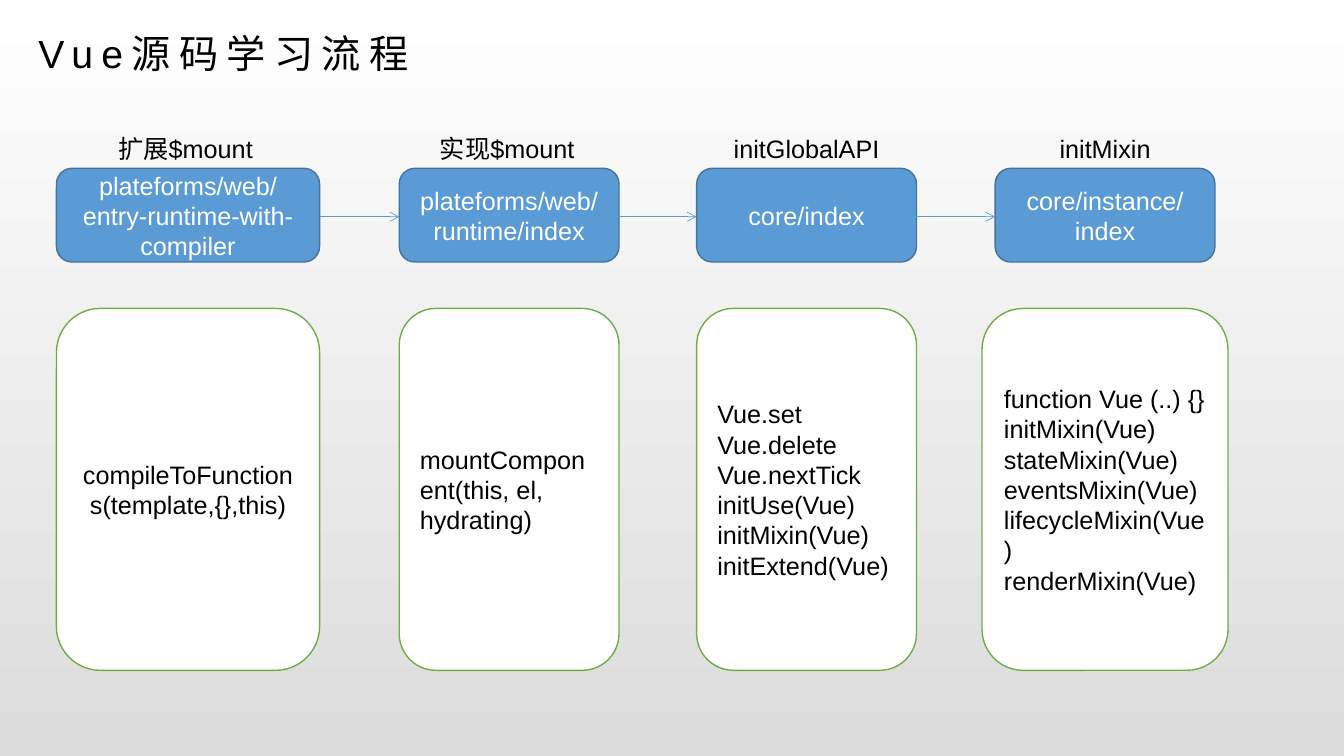
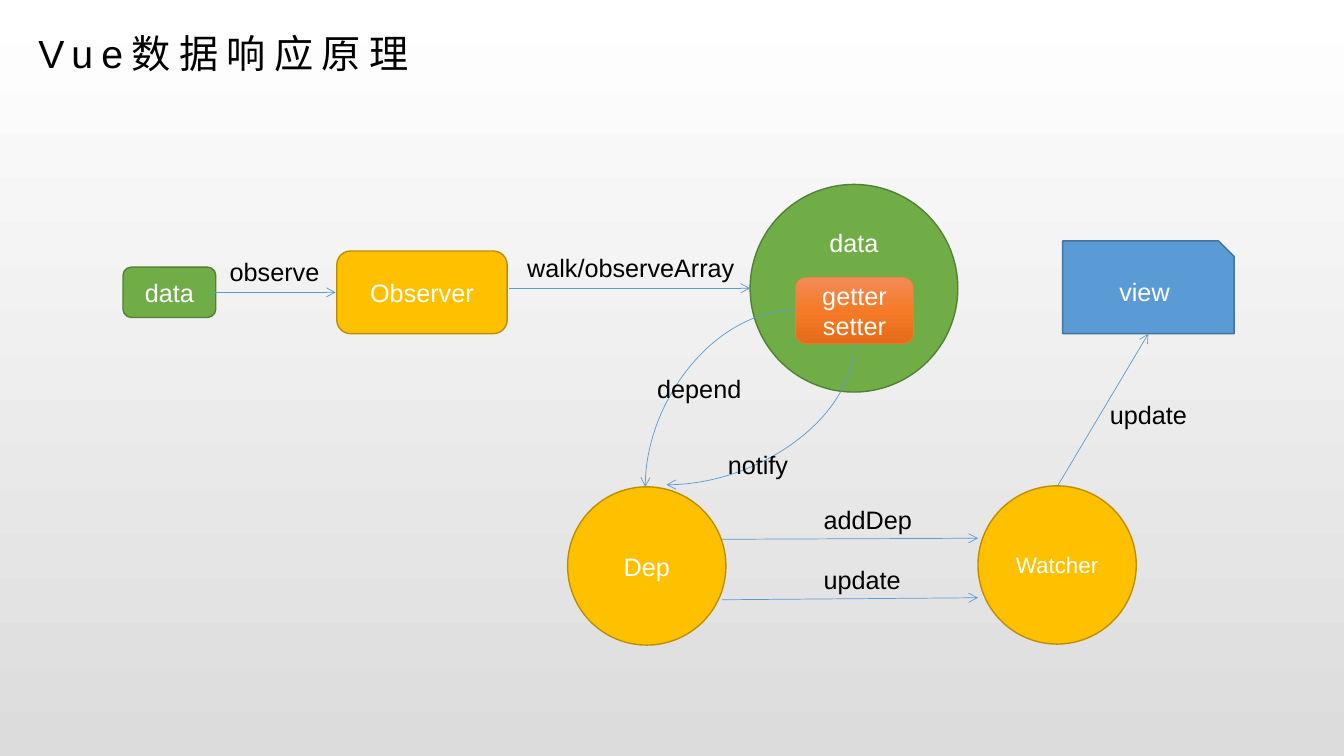
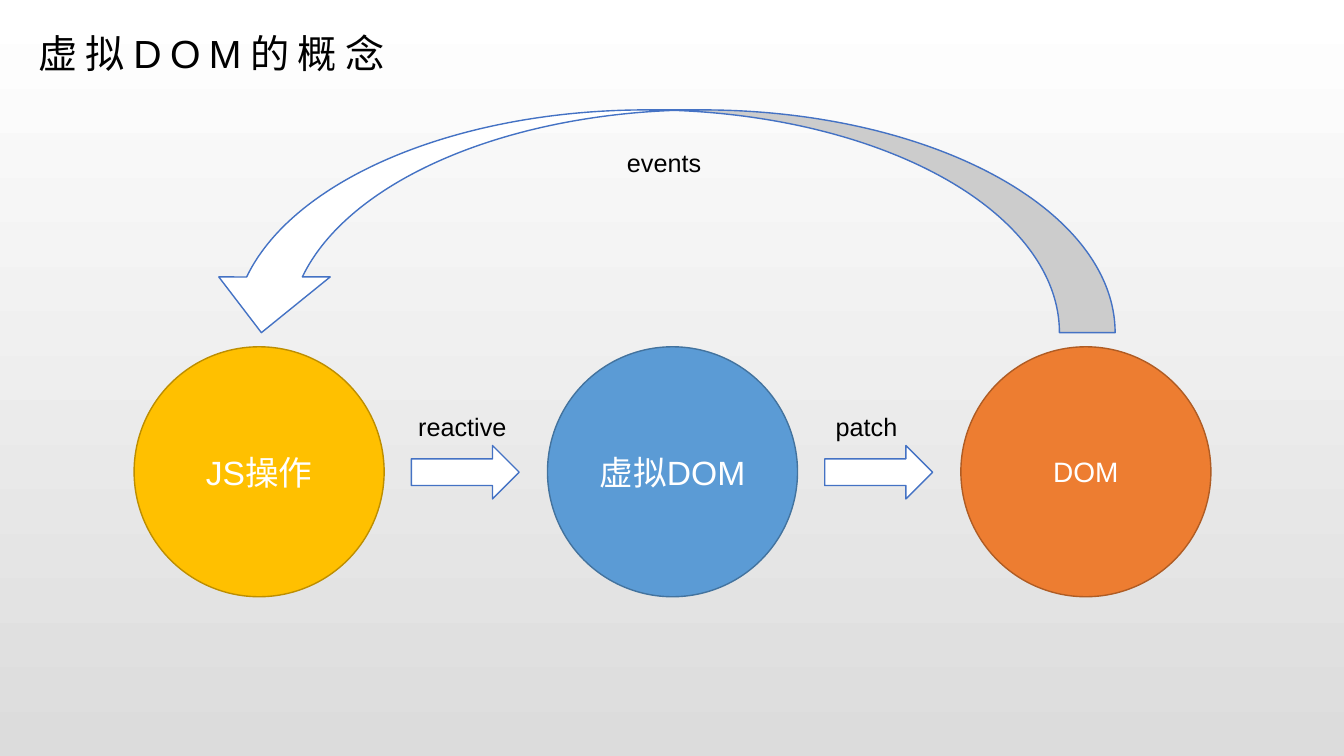
from copy import deepcopy

from pptx import Presentation
from pptx.dml.color import RGBColor
from pptx.enum.shapes import MSO_CONNECTOR as LINK, MSO_SHAPE as SHAPE
from pptx.enum.text import MSO_ANCHOR as ANCHOR, PP_ALIGN as ALIGN
from pptx.oxml.ns import qn
from pptx.oxml.xmlchemy import OxmlElement
from pptx.util import Inches, Pt

rgb = RGBColor.from_string

FONT = "Arial"
BLACK, WHITE = "000000", "FFFFFF"
BLUE, GREEN = ("5B9BD5", "43739E"), ("70AD47", "538035")
GOLD, ORANGE = ("FFC000", "BD8E00"), ("ED7D31", "AF5C24")
CARD, BLOCK_ARROW = (WHITE, "70AD47"), (WHITE, "4472C4")


def add_box(slide, at, text="", kind=None, paint=None, size=18, color=BLACK,
            align=ALIGN.LEFT):
    """Add a preset shape painted (fill, line), or a text box if kind is None."""
    place = [Inches(length) for length in at]
    if kind is None:
        box = slide.shapes.add_textbox(*place)
    else:
        box = slide.shapes.add_shape(kind, *place)
        box.shadow.inherit = False
        box.fill.solid()
        box.fill.fore_color.rgb = rgb(paint[0])
        box.line.color.rgb = rgb(paint[1])
        box.line.width = Pt(1)
        box.text_frame.vertical_anchor = ANCHOR.MIDDLE
    frame = box.text_frame
    frame.word_wrap = True
    frame.text = text
    for para in frame.paragraphs:
        para.alignment = align
        for span in para.runs:
            span.font.name = FONT
            span.font.size = Pt(size)
            span.font.color.rgb = rgb(color)
    return box


def add_arrow(slide, start, end, kind=LINK.STRAIGHT):
    """Add a thin blue connector with an open arrowhead at its end."""
    ends = [Inches(length) for length in (*start, *end)]
    arrow = slide.shapes.add_connector(kind, *ends)
    arrow.line.color.rgb = rgb(BLUE[0])
    arrow.line.width = Pt(0.5)
    tail = OxmlElement("a:tailEnd")
    tail.set("type", "arrow")
    arrow.line._get_or_add_ln().append(tail)
    properties = arrow._element.spPr
    properties.append(OxmlElement("a:effectLst"))
    if kind == LINK.CURVE:
        properties.find(qn("a:prstGeom")).set("prst", "curvedConnector2")
    return arrow


deck = Presentation()
deck.slide_width, deck.slide_height = Inches(13.33), Inches(7.5)

backdrop = deck.slide_master.background.fill
backdrop.gradient()
backdrop.gradient_angle = 270
for stop, shade in zip(backdrop.gradient_stops, (WHITE, "DCDCDC")):
    stop.color.rgb = rgb(shade)

pages = []
for heading in ("Vue源码学习流程", "Vue数据响应原理", "虚拟DOM的概念"):
    page = deck.slides.add_slide(deck.slide_layouts[6])
    title = add_box(page, (0.27, 0.25, 4.59, 0.66), heading, size=28)
    frame = title.text_frame
    frame.margin_left, frame.margin_right = Inches(0.11), Inches(0.03)
    frame.margin_top = frame.margin_bottom = Inches(0.04)
    frame.paragraphs[0].runs[0].font._element.set("spc", "600")
    pages.append(page)
flow, reactivity, virtual_dom = pages

# Slide 1: source files in reading order, with what each one defines
# left, width, label, label left, label width, file, card width, card alignment, card text
columns = [
    (0.56, 2.61, "扩展$mount", 1.03, 1.62, "plateforms/web/entry-runtime-with-compiler",
     2.61, ALIGN.CENTER, "compileToFunctions(template,{},this)"),
    (3.96, 2.18, "实现$mount", 4.22, 1.62, "plateforms/web/runtime/index",
     2.18, ALIGN.LEFT, "mountComponent(this, el, hydrating)"),
    (6.91, 2.18, "initGlobalAPI", 6.91, 2.18, "core/index", 2.18, ALIGN.LEFT,
     "Vue.set\nVue.delete\nVue.nextTick\ninitUse(Vue)\ninitMixin(Vue)\ninitExtend(Vue)"),
    (9.87, 2.18, "initMixin", 9.87, 2.18, "core/instance/\nindex", 2.44, ALIGN.LEFT,
     "function Vue (..) {}\ninitMixin(Vue)\nstateMixin(Vue)\neventsMixin(Vue)\n"
     "lifecycleMixin(Vue)\nrenderMixin(Vue)"),
]
previous_right = None
for (left, width, label, label_left, label_width, file,
     card_width, card_align, card) in columns:
    card_left = left + (width - card_width) / 2
    add_box(flow, (label_left, 1.27, label_width, 0.4), label, align=ALIGN.CENTER)
    add_box(flow, (left, 1.67, width, 0.93), file, SHAPE.ROUNDED_RECTANGLE, BLUE,
            color=WHITE, align=ALIGN.CENTER)
    add_box(flow, (card_left, 3.06, card_width, 3.59), card,
            SHAPE.ROUNDED_RECTANGLE, CARD, align=card_align)
    if previous_right:
        add_arrow(flow, (previous_right, 2.15), (left, 2.15))
    previous_right = left + width

# Slide 2: from data through observer and watcher to the view
nodes = [
    ((1.22, 2.65, 0.92, 0.5), "data", SHAPE.ROUNDED_RECTANGLE, GREEN, 18),
    ((3.34, 2.49, 1.69, 0.82), "Observer", SHAPE.ROUNDED_RECTANGLE, GOLD, 18),
    ((5.63, 4.83, 1.57, 1.57), "Dep", SHAPE.OVAL, GOLD, 18),
    ((9.7, 4.82, 1.57, 1.57), "Watcher", SHAPE.OVAL, GOLD, 16),
    ((10.54, 2.39, 1.7, 0.92), "view", SHAPE.SNIP_1_RECTANGLE, BLUE, 18),
]
for at, text, kind, paint, size in nodes:
    add_box(reactivity, at, text, kind, paint, size, WHITE, ALIGN.CENTER)

observed = add_box(reactivity, (7.44, 1.83, 2.06, 2.06), "data", SHAPE.OVAL, GREEN,
                   color=WHITE, align=ALIGN.CENTER)
observed.text_frame.margin_bottom = Inches(0.95)
accessors = add_box(reactivity, (7.89, 2.75, 1.17, 0.66), "getter setter",
                    SHAPE.ROUNDED_RECTANGLE, ORANGE, color=WHITE, align=ALIGN.CENTER)
accessors.line.color.rgb = rgb(ORANGE[0])
accessors.line.width = Pt(0.5)
accessors.fill.gradient()
accessors.fill.gradient_angle = 270
stop_list = accessors._element.spPr.find(".//" + qn("a:gsLst"))
middle = deepcopy(stop_list[0])
middle.set("pos", "50000")
stop_list.insert(1, middle)
for stop, shade in zip(accessors.fill.gradient_stops, ("F18C57", "F67B28", "E56C19")):
    stop.color.rgb = rgb(shade)

for start, end in [
    ((2.12, 2.9), (3.33, 2.9)),
    ((5.05, 2.86), (7.44, 2.86)),
    ((7.16, 5.35), (9.7, 5.34)),
    ((7.16, 5.95), (9.7, 5.93)),
    ((10.49, 4.82), (11.39, 3.31)),
]:
    add_arrow(reactivity, start, end)
add_arrow(reactivity, (7.87, 3.08), (6.4, 4.83), LINK.CURVE)
notify = add_arrow(reactivity, (6.84, 3.18), (8.24, 5.04), LINK.CURVE)
notify._element.spPr.find(qn("a:xfrm")).set("rot", "5400000")

for left, top, width, text in [
    (2.18, 2.49, 1.2, "observe"),
    (5.13, 2.45, 2.39, "walk/observeArray"),
    (6.42, 3.65, 1.1, "depend"),
    (7.12, 4.41, 0.85, "notify"),
    (8.07, 4.95, 1.15, "addDep"),
    (8.07, 5.55, 1.05, "update"),
    (10.91, 3.91, 1.05, "update"),
]:
    add_box(reactivity, (left, top, width, 0.4), text)

# Slide 3: the loop between script, virtual DOM and DOM
stages = [("JS操作", GOLD, 24), ("虚拟DOM", BLUE, 24), ("DOM", ORANGE, 20)]
for index, (text, paint, size) in enumerate(stages):
    left = 1.33 + index * 4.1
    add_box(virtual_dom, (left, 3.44, 2.48, 2.48), text, SHAPE.OVAL, paint, size,
            WHITE, ALIGN.CENTER)
    if index < len(stages) - 1:
        add_box(virtual_dom, (left + 2.75, 4.42, 1.07, 0.53),
                kind=SHAPE.RIGHT_ARROW, paint=BLOCK_ARROW)

events = add_box(virtual_dom, (2.04, 1.09, 9.02, 2.21),
                 kind=SHAPE.CURVED_DOWN_ARROW, paint=BLOCK_ARROW)
events._element.spPr.find(qn("a:xfrm")).set("flipH", "1")

for left, top, text in [(4.05, 4.03, "reactive"), (8.19, 4.03, "patch"),
                        (6.12, 1.41, "events")]:
    add_box(virtual_dom, (left, top, 1.1, 0.4), text)

deck.save("out.pptx")
